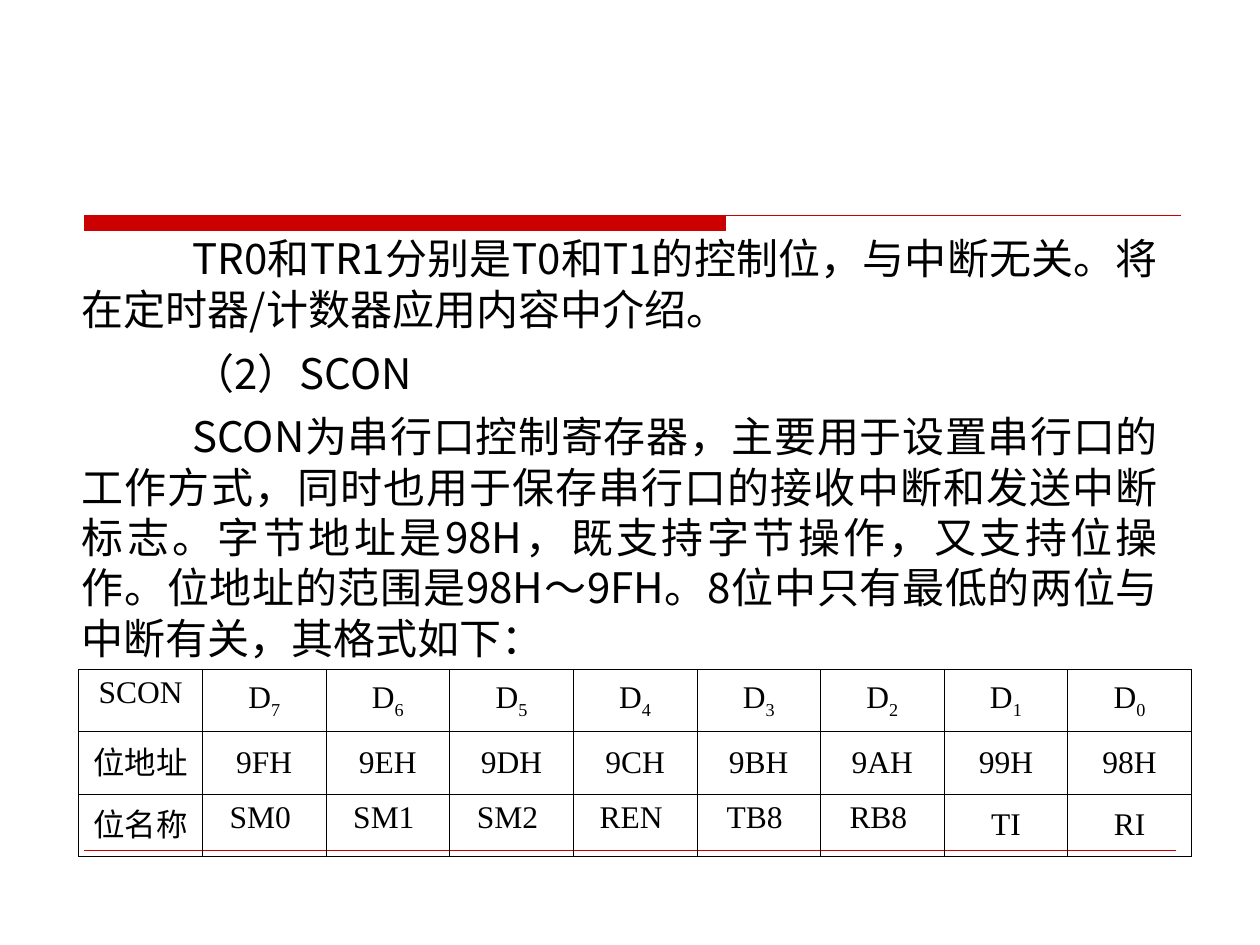
"""Build the SCON register slide with its explanatory text and bit table."""
from dataclasses import dataclass

import lxml.etree
import pptx
import pptx.dml.color
import pptx.enum.shapes
import pptx.enum.text
import pptx.oxml
import pptx.oxml.ns
import pptx.util

Pt = pptx.util.Pt
qn = pptx.oxml.ns.qn
Color = pptx.dml.color.RGBColor
Align = pptx.enum.text.PP_ALIGN
Anchor = pptx.enum.text.MSO_ANCHOR


@dataclass(frozen=True)
class Theme:
    """Colours, fonts and type sizes."""
    red: Color = Color(0xCC, 0x00, 0x00)
    black: Color = Color(0x00, 0x00, 0x00)
    body_font: str = "Noto Sans CJK SC"
    table_font: str = "Times New Roman"
    body_size: float = 24
    table_size: float = 18


@dataclass(frozen=True)
class Bit:
    """One register bit and its table column."""
    number: str
    address: str
    name: str
    name_anchor: Anchor = Anchor.TOP


THEME = Theme()
PARAGRAPHS = (
    "TR0和TR1分别是T0和T1的控制位，与中断无关。将在定时器/计数器应用内容中介绍。",
    "（2）SCON",
    "SCON为串行口控制寄存器，主要用于设置串行口的工作方式，同时也用于保存串行口的接收中断和发送中断标志。"
    "字节地址是98H，既支持字节操作，又支持位操作。位地址的范围是98H～9FH。8位中只有最低的两位与中断有关，其格式如下：",
)
ROW_LABELS = ("SCON", "位地址", "位名称")
BITS = (
    Bit("7", "9FH", "SM0 "),
    Bit("6", "9EH", "SM1 "),
    Bit("5", "9DH", "SM2 "),
    Bit("4", "9CH", "REN "),
    Bit("3", "9BH", "TB8 "),
    Bit("2", "9AH", "RB8 "),
    Bit("1", "99H", "TI", Anchor.MIDDLE),
    Bit("0", "98H", "RI", Anchor.MIDDLE),
)


def format_run(run, size: float, latin: str) -> None:
    """Set the type of a run, with the body font for Chinese."""
    run.font.size = Pt(size)
    run.font.name = latin
    run.font.color.rgb = THEME.black
    east_asian = lxml.etree.SubElement(run._r.get_or_add_rPr(), qn("a:ea"))
    east_asian.set("typeface", THEME.body_font)


def add_divider(slide) -> None:
    """Draw the thick bar and the thin rule that continues it as one outline."""
    left, top, bar_right, bottom, right = (
        Pt(value) for value in (48.24, 123.12, 414.72, 131.76, 674.64))
    builder = slide.shapes.build_freeform(left, top)
    builder.add_line_segments(
        [(right, top), (bar_right, top), (bar_right, bottom), (left, bottom)], close=True)
    shape = builder.convert_to_shape()
    shape.shadow.inherit = False
    shape.fill.solid()
    shape.fill.fore_color.rgb = THEME.red
    shape.line.color.rgb = THEME.red
    shape.line.width = Pt(0.75)


def add_footer_rule(slide) -> None:
    """Draw the hairline near the bottom."""
    connector = slide.shapes.add_connector(
        pptx.enum.shapes.MSO_CONNECTOR.STRAIGHT, Pt(48.24), Pt(486), Pt(671.76), Pt(486))
    connector.line.color.rgb = THEME.red
    connector.line.width = Pt(0.25)
    lxml.etree.SubElement(connector._element.spPr, qn("a:effectLst"))


def add_body(slide) -> None:
    """Add the justified paragraphs with indented first lines."""
    shape = slide.shapes.add_textbox(Pt(39.6), Pt(129.6), Pt(629.28), Pt(252.72))
    text_frame = shape.text_frame
    text_frame.word_wrap = True
    text_frame.auto_size = pptx.enum.text.MSO_AUTO_SIZE.SHAPE_TO_FIT_TEXT
    text_frame.text = "\n".join(PARAGRAPHS)
    for index, paragraph in enumerate(text_frame.paragraphs):
        paragraph.alignment = Align.JUSTIFY
        paragraph.line_spacing = Pt(28.8)
        paragraph.space_before = Pt(7.6 if index else 0)
        properties = paragraph._p.get_or_add_pPr()
        properties.set("marL", "0")
        properties.set("indent", str(Pt(63.36)))
        properties.set("hangingPunct", "0")
        for run in paragraph.runs:
            format_run(run, THEME.body_size, THEME.body_font)


def add_borders(cell) -> None:
    """Draw thin black lines on all four sides of a cell."""
    properties = cell._tc.get_or_add_tcPr()
    for position, side in enumerate(("lnL", "lnR", "lnT", "lnB")):
        border = pptx.oxml.parse_xml(
            f'<a:{side} xmlns:a="http://schemas.openxmlformats.org/drawingml/2006/main" '
            f'w="{Pt(0.45)}"><a:solidFill><a:srgbClr val="{THEME.black}"/></a:solidFill></a:{side}>')
        properties.insert(position, border)


def fill_cell(cell, text: str, anchor: Anchor, subscript: str = "") -> None:
    """Write centred text with an optional subscript into a cell."""
    cell.fill.background()
    add_borders(cell)
    cell.vertical_anchor = anchor
    cell.margin_left = cell.margin_right = Pt(5.76)
    cell.margin_top = cell.margin_bottom = Pt(3.6)
    paragraph = cell.text_frame.paragraphs[0]
    paragraph.text = text
    paragraph.alignment = Align.CENTER
    if subscript:
        run = paragraph.add_run()
        run.text = subscript
        run._r.get_or_add_rPr().set("baseline", "-25000")
    for run in paragraph.runs:
        format_run(run, THEME.table_size, THEME.table_font)


def add_register_table(slide) -> None:
    """Add the table of bit numbers, addresses and names."""
    column_width, row_height = 70.65, 35.6
    column_count, row_count = len(BITS) + 1, len(ROW_LABELS)
    table = slide.shapes.add_table(
        row_count, column_count, Pt(45), Pt(382.5),
        Pt(column_width * column_count), Pt(row_height * row_count)).table
    table.first_row = table.horz_banding = False
    for column in table.columns:
        column.width = Pt(column_width)
    for row in table.rows:
        row.height = Pt(row_height)
    for index, label in enumerate(ROW_LABELS):
        fill_cell(table.cell(index, 0), label, Anchor.TOP)
    for index, bit in enumerate(BITS, start=1):
        fill_cell(table.cell(0, index), "D", Anchor.MIDDLE, bit.number)
        fill_cell(table.cell(1, index), bit.address, Anchor.MIDDLE)
        fill_cell(table.cell(2, index), bit.name, bit.name_anchor)


def main() -> None:
    """Assemble and save the presentation."""
    presentation = pptx.Presentation()
    presentation.slide_width, presentation.slide_height = Pt(720), Pt(540)
    slide = presentation.slides.add_slide(presentation.slide_layouts[6])
    add_divider(slide)
    add_footer_rule(slide)
    add_body(slide)
    add_register_table(slide)
    presentation.save("out.pptx")


if __name__ == "__main__":
    main()
